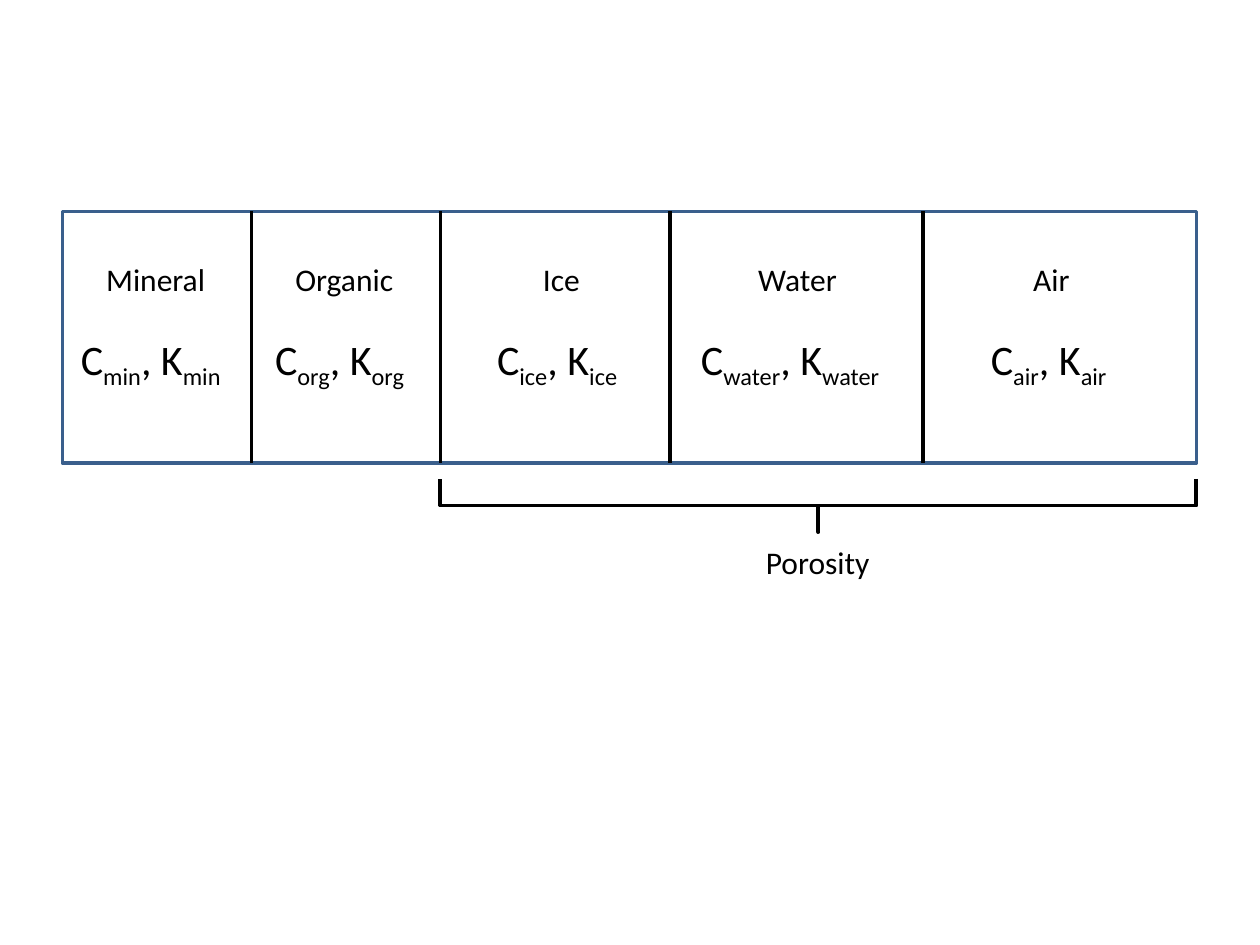
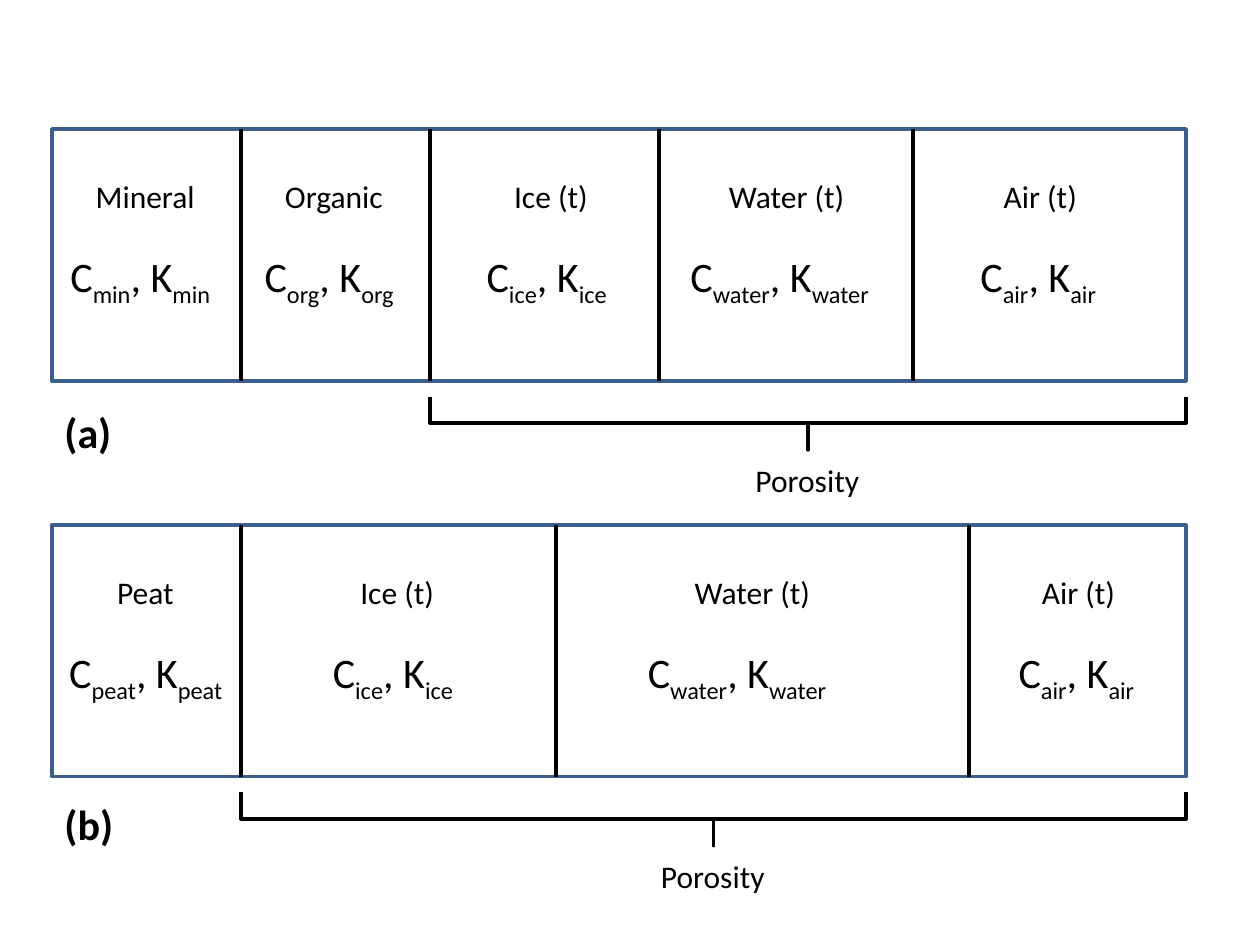
from dataclasses import dataclass

from lxml import etree
from pptx import Presentation
from pptx import util as u
from pptx.dml.color import RGBColor
from pptx.enum import shapes, text
from pptx.oxml import ns

COLORS = {"outline": "3A5F8C", "ink": "000000"}
FONT = "Calibri"
NAME_STYLE = {"size": u.Pt(18), "name": FONT}
SYMBOL_STYLE = {"size": u.Pt(24), "name": FONT}
PANEL_STYLE = SYMBOL_STYLE | {"bold": True}

# All lengths are in centimetres.
BAR_WIDTH, BAR_HEIGHT = 22.86, 5.08
NAME_TOP, SYMBOL_TOP = 0.85, 2.33
BRACE_MIDDLE, BRACE_DEPTH = 5.93, 1.07
POROSITY_TOP = 6.57
LINE_HEIGHTS = {u.Pt(18): 1.02, u.Pt(24): 1.27}
NAME_WIDTHS = {
    "Mineral": 2.54, "Organic": 2.51, "Peat": 1.68, "Porosity": 2.62,
    "Ice": 1.27, "Water": 2.11, "Air": 1.24,
    "Ice (t)": 2.01, "Water (t)": 2.87, "Air (t)": 2.01,
}
SYMBOL_WIDTHS = {"min": 3.56, "org": 3.33, "peat": 3.89,
                 "ice": 3.12, "water": 4.42, "air": 2.95}
PANEL_WIDTH = 1.8


@dataclass
class Component:
    name: str
    subscript: str
    center: float
    right: float
    symbol_shift: float = 0


def mineral_soil(time_mark=""):
    return [
        Component("Mineral", "min", 1.9, 3.81),
        Component("Organic", "org", 5.7, 7.62),
        Component("Ice" + time_mark, "ice", 10.07, 12.24),
        Component("Water" + time_mark, "water", 14.83, 17.35),
        Component("Air" + time_mark, "air", 19.94, BAR_WIDTH),
    ]


PEAT_SOIL = [
    Component("Peat", "peat", 1.9, 3.81, symbol_shift=0.14),
    Component("Ice (t)", "ice", 6.97, 10.16),
    Component("Water (t)", "water", 14.14, 18.49, symbol_shift=-0.17),
    Component("Air (t)", "air", 20.71, BAR_WIDTH),
]


def format_line(shape, color, width):
    shape.line.color.rgb = RGBColor.from_string(COLORS[color])
    shape.line.width = u.Pt(width)


def add_outline(group, kind, left, top, width, height, color, line_width):
    """Add an unfilled preset shape without a shadow."""
    shape = group.shapes.add_shape(
        kind, u.Cm(left), u.Cm(top), u.Cm(width), u.Cm(height))
    shape.shadow.inherit = False
    shape.fill.background()
    format_line(shape, color, line_width)
    return shape


def add_divider(group, x, top):
    divider = group.shapes.add_connector(
        shapes.MSO_CONNECTOR.STRAIGHT,
        u.Cm(x), u.Cm(top), u.Cm(x), u.Cm(top + BAR_HEIGHT))
    format_line(divider, "ink", 2.25)
    etree.SubElement(divider._element.spPr, ns.qn("a:effectLst"))


def add_brace(group, left, right, middle):
    """Add a square brace that opens upwards from left to right."""
    span = right - left
    brace = add_outline(
        group, shapes.MSO_SHAPE.LEFT_BRACE,
        (left + right - BRACE_DEPTH) / 2, middle - span / 2,
        BRACE_DEPTH, span, "ink", 2.25)
    brace.rotation = 270
    brace.adjustments[0] = 0
    brace.adjustments[1] = 0.5


def add_label(group, left, top, width, pieces, style):
    """Add one line of text; every second piece is a subscript."""
    box = group.shapes.add_textbox(
        u.Cm(left), u.Cm(top), u.Cm(width), u.Cm(LINE_HEIGHTS[style["size"]]))
    frame = box.text_frame
    frame.word_wrap = False
    frame.auto_size = text.MSO_AUTO_SIZE.SHAPE_TO_FIT_TEXT
    paragraph = frame.paragraphs[0]
    paragraph.alignment = text.PP_ALIGN.LEFT
    for index, piece in enumerate(pieces):
        run = paragraph.add_run()
        run.text = piece
        for attribute, value in style.items():
            setattr(run.font, attribute, value)
        run.font.color.rgb = RGBColor.from_string(COLORS["ink"])
        if index % 2:
            run._r.get_or_add_rPr().set("baseline", "-25000")


def add_name(group, name, center, top):
    width = NAME_WIDTHS[name]
    add_label(group, center - width / 2, top, width, [name], NAME_STYLE)


def add_symbols(group, subscript, center, top):
    """Add the heat capacity C and conductivity K of a component."""
    width = SYMBOL_WIDTHS[subscript]
    add_label(group, center - width / 2, top, width,
              ["C", subscript, ", K", subscript], SYMBOL_STYLE)


def add_soil_bar(slide, left, top, components, solid_count):
    """Draw the components; those after the solid ones make up the porosity."""
    group = slide.shapes.add_group_shape()
    add_outline(group, shapes.MSO_SHAPE.RECTANGLE,
                left, top, BAR_WIDTH, BAR_HEIGHT, "outline", 2)
    for component in components[:-1]:
        add_divider(group, left + component.right, top)
    for component in components:
        center = left + component.center
        add_name(group, component.name, center, top + NAME_TOP)
        add_symbols(group, component.subscript,
                    center + component.symbol_shift, top + SYMBOL_TOP)
    pores_left = left + components[solid_count - 1].right
    pores_right = left + BAR_WIDTH
    add_brace(group, pores_left, pores_right, top + BRACE_MIDDLE)
    add_name(group, "Porosity", (pores_left + pores_right) / 2, top + POROSITY_TOP)


def main():
    presentation = Presentation()
    presentation.slide_width = u.Cm(25.4)
    presentation.slide_height = u.Cm(19.05)
    blank = presentation.slide_layouts[6]

    slide = presentation.slides.add_slide(blank)
    add_soil_bar(slide, 1.26, 4.26, mineral_soil(), solid_count=2)

    slide = presentation.slides.add_slide(blank)
    left = 1.05
    add_soil_bar(slide, left, 2.6, mineral_soil(" (t)"), solid_count=2)
    add_soil_bar(slide, left, 10.58, PEAT_SOIL, solid_count=1)
    for letter, top in (("(a)", 8.08), ("(b)", 15.98)):
        add_label(slide, left, top, PANEL_WIDTH, [letter], PANEL_STYLE)

    presentation.save("out.pptx")


if __name__ == "__main__":
    main()
